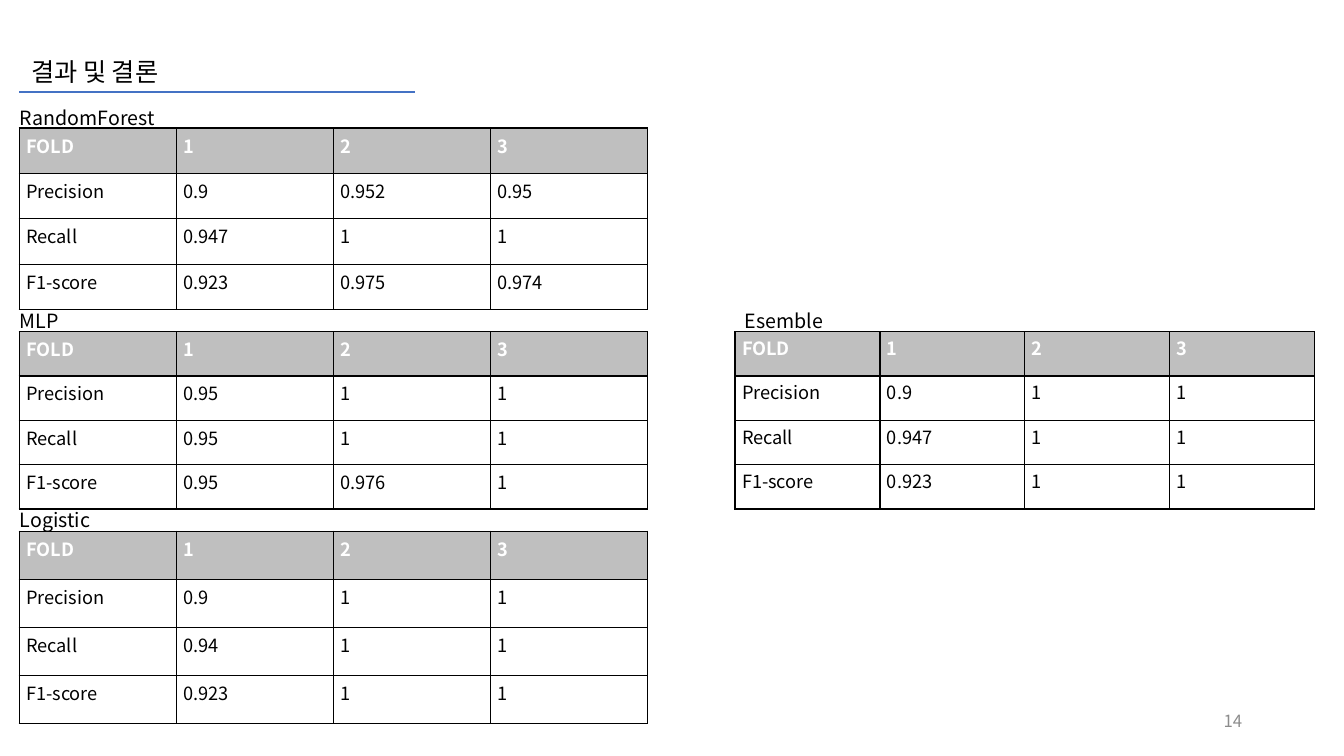
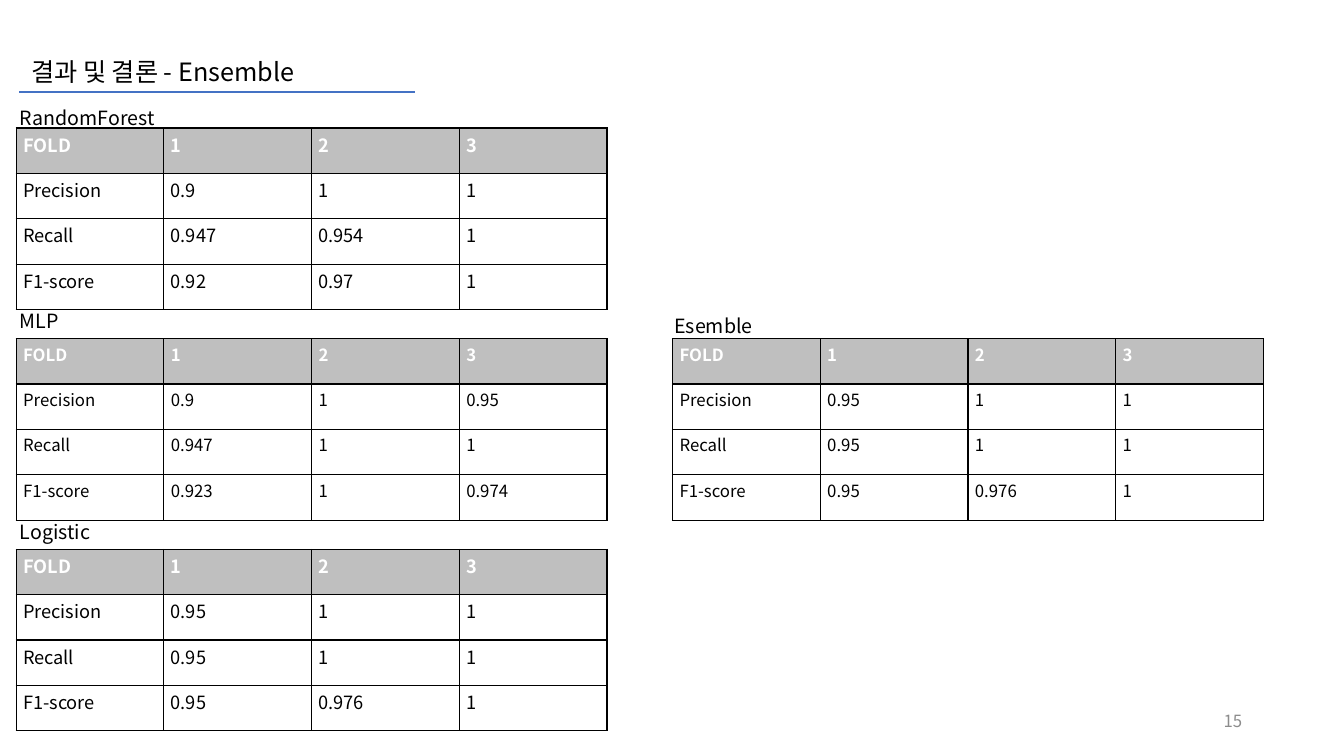
from pptx import Presentation
from pptx.dml.color import RGBColor
from pptx.enum.shapes import MSO_CONNECTOR as Connector
from pptx.enum.text import MSO_ANCHOR as Anchor, MSO_AUTO_SIZE as AutoSize, PP_ALIGN as Align
from pptx.oxml import parse_xml
from pptx.oxml.ns import nsdecls, qn
from pptx.util import Inches, Pt
from lxml.etree import SubElement

FONT = "Noto Sans CJK KR"
BLACK, WHITE, GRAY = "000000", "FFFFFF", "BFBFBF"
NUMBER_GRAY, RULE_BLUE = "8C8C8C", "4472C4"
HEADER = ("FOLD", "1", "2", "3")
METRICS = ("Precision", "Recall", "F1-score")

SLIDES = [
    {
        "title": "결과 및 결론 ",
        "number": "14",
        "results": [
            {"model": "RandomForest", "label": (0.1, 1, 2.1), "table": (0.19, 1.27, 6.23, 1.8),
             "size": 13, "inset": 0.04,
             "scores": [("0.9", "0.952", "0.95"), ("0.947", "1", "1"), ("0.923", "0.975", "0.974")]},
            {"model": "MLP", "label": (0.1, 3.02, 1.86), "table": (0.19, 3.29, 6.23, 1.76),
             "size": 13, "inset": 0.04,
             "scores": [("0.95", "1", "1"), ("0.95", "1", "1"), ("0.95", "0.976", "1")]},
            {"model": "Logistic", "label": (0.1, 4.99, 1.86), "table": (0.19, 5.27, 6.23, 1.91),
             "size": 13, "inset": 0.04,
             "scores": [("0.9", "1", "1"), ("0.94", "1", "1"), ("0.923", "1", "1")]},
            {"model": "Esemble", "label": (7.29, 3.02, 1.86), "table": (7.29, 3.29, 5.75, 1.76),
             "size": 13, "inset": 0.03,
             "scores": [("0.9", "1", "1"), ("0.947", "1", "1"), ("0.923", "1", "1")]},
        ],
    },
    {
        "title": "결과 및 결론 - Ensemble",
        "number": "15",
        "results": [
            {"model": "RandomForest", "label": (0.1, 1, 2.1), "table": (0.16, 1.27, 5.86, 1.8),
             "size": 13, "inset": 0.03,
             "scores": [("0.9", "1", "1"), ("0.947", "0.954", "1"), ("0.92", "0.97", "1")]},
            {"model": "MLP", "label": (0.1, 3.02, 1.86), "table": (0.16, 3.36, 5.86, 1.8),
             "size": 12, "inset": 0.03,
             "scores": [("0.9", "1", "0.95"), ("0.947", "1", "1"), ("0.923", "1", "0.974")]},
            {"model": "Logistic", "label": (0.1, 5.11, 1.86), "table": (0.16, 5.45, 5.86, 1.8),
             "size": 13, "inset": 0.03,
             "scores": [("0.95", "1", "1"), ("0.95", "1", "1"), ("0.95", "0.976", "1")]},
            {"model": "Esemble", "label": (6.59, 3.07, 1.86), "table": (6.67, 3.36, 5.86, 1.8),
             "size": 12, "inset": 0.03,
             "scores": [("0.95", "1", "1"), ("0.95", "1", "1"), ("0.95", "0.976", "1")]},
        ],
    },
]


def color(value):
    return RGBColor.from_string(value)


def add_text(paragraph, text, size, text_color, bold=False):
    run = paragraph.add_run()
    run.text = text
    run.font.size = Pt(size)
    run.font.bold = bold
    run.font.color.rgb = color(text_color)
    run.font.name = FONT
    SubElement(run.font._element, qn("a:ea")).set("typeface", FONT)


def add_text_box(slide, box, text, size, text_color=BLACK):
    shape = slide.shapes.add_textbox(*map(Inches, box))
    shape.text_frame.word_wrap = True
    shape.text_frame.auto_size = AutoSize.SHAPE_TO_FIT_TEXT
    add_text(shape.text_frame.paragraphs[0], text, size, text_color)
    return shape


def add_rule(slide):
    rule = slide.shapes.add_connector(
        Connector.STRAIGHT, Inches(0.19), Inches(0.91), Inches(4.12), Inches(0.91))
    rule.line.color.rgb = color(RULE_BLUE)
    rule.line.width = Pt(1.5)
    SubElement(rule._element.spPr, qn("a:effectLst"))


def add_number(slide, number):
    shape = add_text_box(slide, (9.42, 6.95, 3, 0.4), number, 12, NUMBER_GRAY)
    shape.text_frame.auto_size = AutoSize.NONE
    shape.text_frame.vertical_anchor = Anchor.MIDDLE
    shape.text_frame.paragraphs[0].alignment = Align.RIGHT


def add_borders(cell):
    properties = cell._tc.get_or_add_tcPr()
    for position, side in enumerate(("lnL", "lnR", "lnT", "lnB")):
        properties.insert(position, parse_xml(
            f'<a:{side} {nsdecls("a")} w="{Pt(1)}"><a:solidFill>'
            f'<a:srgbClr val="{BLACK}"/></a:solidFill></a:{side}>'))


def fill_cell(cell, text, size, inset, is_header):
    cell.margin_left = cell.margin_right = Inches(0.07)
    cell.margin_top = cell.margin_bottom = Inches(inset)
    if is_header:
        cell.fill.solid()
        cell.fill.fore_color.rgb = color(GRAY)
    else:
        cell.fill.background()
    add_borders(cell)
    text_color = WHITE if is_header else BLACK
    add_text(cell.text_frame.paragraphs[0], text, size, text_color, is_header)


def add_score_table(slide, result):
    rows = [HEADER] + [(metric, *scores) for metric, scores in zip(METRICS, result["scores"])]
    left, top, width, height = map(Inches, result["table"])
    table = slide.shapes.add_table(len(rows), len(HEADER), left, top, width, height).table
    table.first_row = table.horz_banding = False
    for row_index, row in enumerate(rows):
        for column_index, text in enumerate(row):
            fill_cell(table.cell(row_index, column_index), text,
                      result["size"], result["inset"], row_index == 0)


presentation = Presentation()
presentation.slide_width = Inches(13.33)
presentation.slide_height = Inches(7.5)
blank_layout = presentation.slide_layouts[6]

for content in SLIDES:
    slide = presentation.slides.add_slide(blank_layout)
    add_number(slide, content["number"])
    add_rule(slide)
    add_text_box(slide, (0.21, 0.51, 3.65, 0.4), content["title"], 18)
    for result in content["results"]:
        add_score_table(slide, result)
    for result in content["results"]:
        add_text_box(slide, (*result["label"], 0.34), result["model"], 14)

presentation.save("out.pptx")
